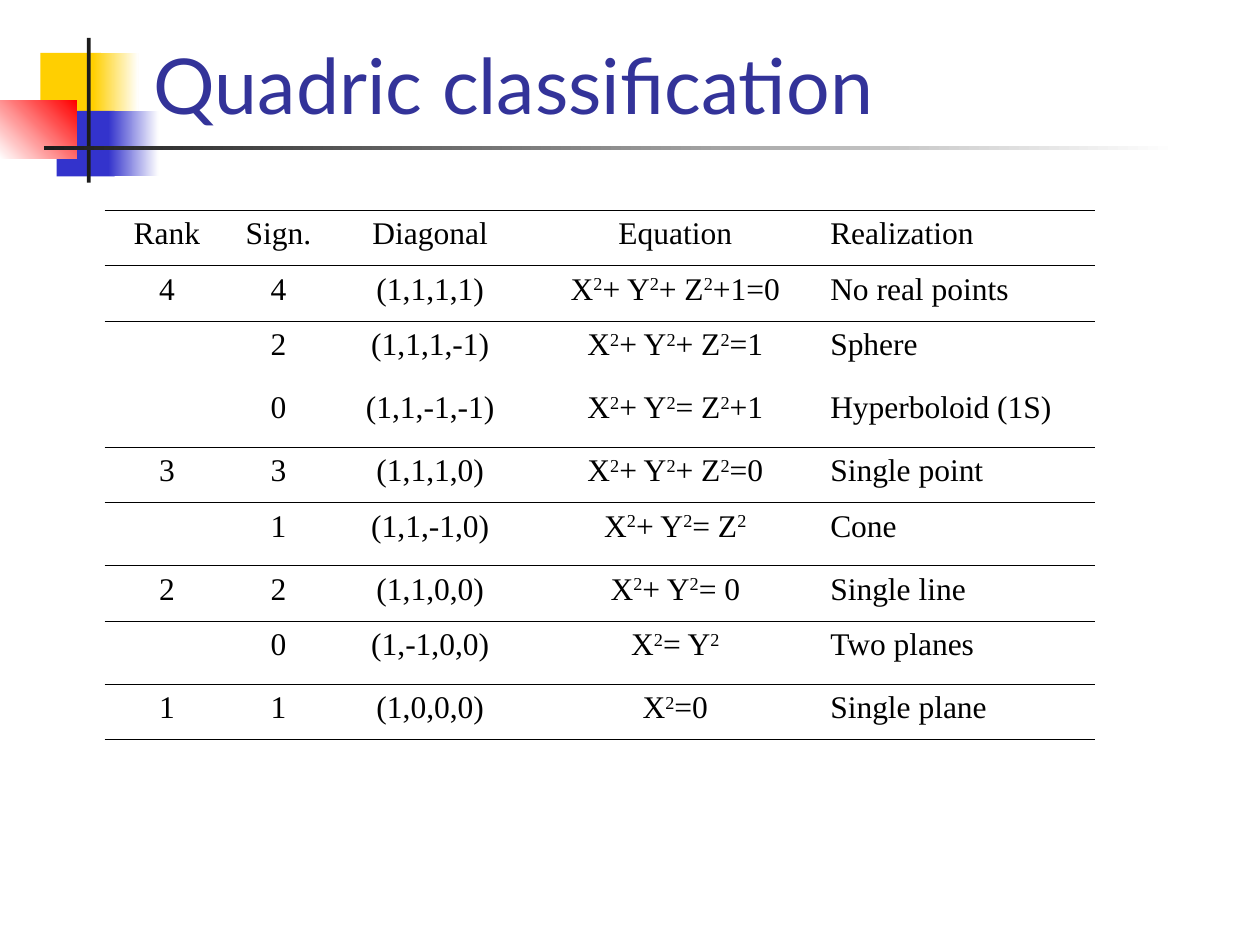
from lxml import etree
from pptx import Presentation
from pptx.dml.color import RGBColor
from pptx.enum.shapes import MSO_SHAPE
from pptx.enum.text import MSO_ANCHOR, MSO_AUTO_SIZE, PP_ALIGN
from pptx.oxml.ns import qn
from pptx.util import Inches, Pt

RECTANGLE = MSO_SHAPE.RECTANGLE
BOTTOM = MSO_ANCHOR.BOTTOM
NO_AUTOFIT = MSO_AUTO_SIZE.NONE
LEFT, CENTER = PP_ALIGN.LEFT, PP_ALIGN.CENTER

TITLE_ONLY = 5
PLAIN_TABLE = "{2D5ABB26-0587-4C30-8999-92F81FD0307C}"
THICK, THIN = 1.08, 0.45
EXPONENT = "^2"
YELLOW, BLUE, RED, DARK, WHITE = "FFCF01", "3333CC", "FF0000", "1C1C1C", "FFFFFF"

ORNAMENTS = [
    ((0.32, 0.42, 0.48, 0.52), (YELLOW,), 0),
    ((0.74, 0.42, 0.36, 0.52), (YELLOW, WHITE), 0),
    ((0.45, 0.88, 0.46, 0.52), (BLUE,), 0),
    ((0.86, 0.88, 0.4, 0.52), (BLUE, WHITE), 0),
    ((0, 0.8, 0.61, 0.46), (WHITE, RED), 45),
    ((0.69, 0.3, 0.03, 1.15), (DARK,), 0),
    ((0.35, 1.16, 9, 0.03), (DARK, WHITE), 0),
]

COLUMN_WIDTHS = [0.99, 0.78, 1.63, 2.26, 2.2]
HEADER = ("Rank", "Sign.", "Diagonal", "Equation", "Realization")
RANK_GROUPS = [
    ("4", [
        ("4", "(1,1,1,1)", "X^2+ Y^2+ Z^2+1=0", "No real points"),
        ("2", "(1,1,1,-1)", "X^2+ Y^2+ Z^2=1", "Sphere"),
        ("0", "(1,1,-1,-1)", "X^2+ Y^2= Z^2+1", "Hyperboloid (1S)"),
    ]),
    ("3", [
        ("3", "(1,1,1,0)", "X^2+ Y^2+ Z^2=0", "Single point"),
        ("1", "(1,1,-1,0)", "X^2+ Y^2= Z^2", "Cone"),
    ]),
    ("2", [
        ("2", "(1,1,0,0)", "X^2+ Y^2= 0", "Single line"),
        ("0", "(1,-1,0,0)", "X^2= Y^2", "Two planes"),
    ]),
    ("1", [
        ("1", "(1,0,0,0)", "X^2=0", "Single plane"),
    ]),
]


def color(value):
    """Return the colour for a hex string."""
    return RGBColor.from_string(value)


def set_font(font, name, size, value):
    """Set typeface, size and colour of a font."""
    font.name = name
    font.size = Pt(size)
    font.color.rgb = color(value)


def add_ornament(page, place, colors, angle):
    """Add a borderless rectangle with a solid or two-colour fill."""
    box = page.shapes.add_shape(RECTANGLE, *map(Inches, place))
    box.shadow.inherit = False
    box.line.fill.background()
    if len(colors) == 1:
        box.fill.solid()
        box.fill.fore_color.rgb = color(colors[0])
        return
    box.fill.gradient()
    box.fill.gradient_angle = angle
    for stop, value in zip(box.fill.gradient_stops, colors):
        stop.color.rgb = color(value)


def set_title(page, text):
    """Place the title in front of the ornaments."""
    title = page.shapes.title
    title.left, title.top = Inches(1.12), Inches(0.17)
    title.width, title.height = Inches(7.32), Inches(0.91)
    frame = title.text_frame
    frame.text = text
    frame.word_wrap = True
    frame.auto_size = NO_AUTOFIT
    frame.vertical_anchor = BOTTOM
    para = frame.paragraphs[0]
    para.alignment = LEFT
    set_font(para.font, "Lato", 44, "333399")
    page.shapes.element.append(title.element)


def write_cell(cell, text, alignment):
    """Write cell text, raising each marked exponent."""
    para = cell.text_frame.paragraphs[0]
    para.alignment = alignment
    set_font(para.font, "Times New Roman", 18, "000000")
    for index, part in enumerate(text.split(EXPONENT)):
        if index:
            span = para.add_run()
            span.text = "2"
            span.font.bold = False
            span._r.get_or_add_rPr().set("baseline", "30000")
        if part:
            para.add_run().text = part


def add_border(cell, tag, width):
    """Add a black border to one side of a cell."""
    properties = cell._tc.get_or_add_tcPr()
    line = etree.Element(qn(tag), w=str(Pt(width)))
    fill = etree.SubElement(line, qn("a:solidFill"))
    etree.SubElement(fill, qn("a:srgbClr"), val="000000")
    properties.insert(0, line)


def add_row(row, texts, top, bottom):
    """Fill one table row and rule its top and bottom."""
    row.height = Inches(0.44 if texts[0] else 0.5)
    for index, (cell, text) in enumerate(zip(row.cells, texts)):
        cell.fill.background()
        if text:
            write_cell(cell, text, LEFT if index == len(texts) - 1 else CENTER)
        for tag, width in (("a:lnB", bottom), ("a:lnT", top)):
            if width:
                add_border(cell, tag, width)


def add_classification(page):
    """Add the table with a rule between rank groups."""
    rows = [HEADER]
    for rank, members in RANK_GROUPS:
        rows += [(rank if index == 0 else "", *member)
                 for index, member in enumerate(members)]
    frame = page.shapes.add_table(len(rows), len(HEADER), Inches(0.83), Inches(1.67),
                                  Inches(sum(COLUMN_WIDTHS)), Inches(4.2))
    frame.element.find(".//" + qn("a:tableStyleId")).text = PLAIN_TABLE
    table = frame.table
    table.first_row = table.horz_banding = False
    for column, width in zip(table.columns, COLUMN_WIDTHS):
        column.width = Inches(width)
    last = len(rows) - 1
    for index, texts in enumerate(rows):
        top = THICK if index == 0 else THIN if texts[0] else 0
        bottom = THICK if index == last else THIN if rows[index + 1][0] else 0
        add_row(table.rows[index], texts, top, bottom)


def main():
    """Build and save the slide."""
    deck = Presentation()
    deck.slide_width, deck.slide_height = Inches(10), Inches(7.5)
    page = deck.slides.add_slide(deck.slide_layouts[TITLE_ONLY])
    for place, colors, angle in ORNAMENTS:
        add_ornament(page, place, colors, angle)
    set_title(page, "Quadric classification")
    add_classification(page)
    deck.save("out.pptx")


if __name__ == "__main__":
    main()
